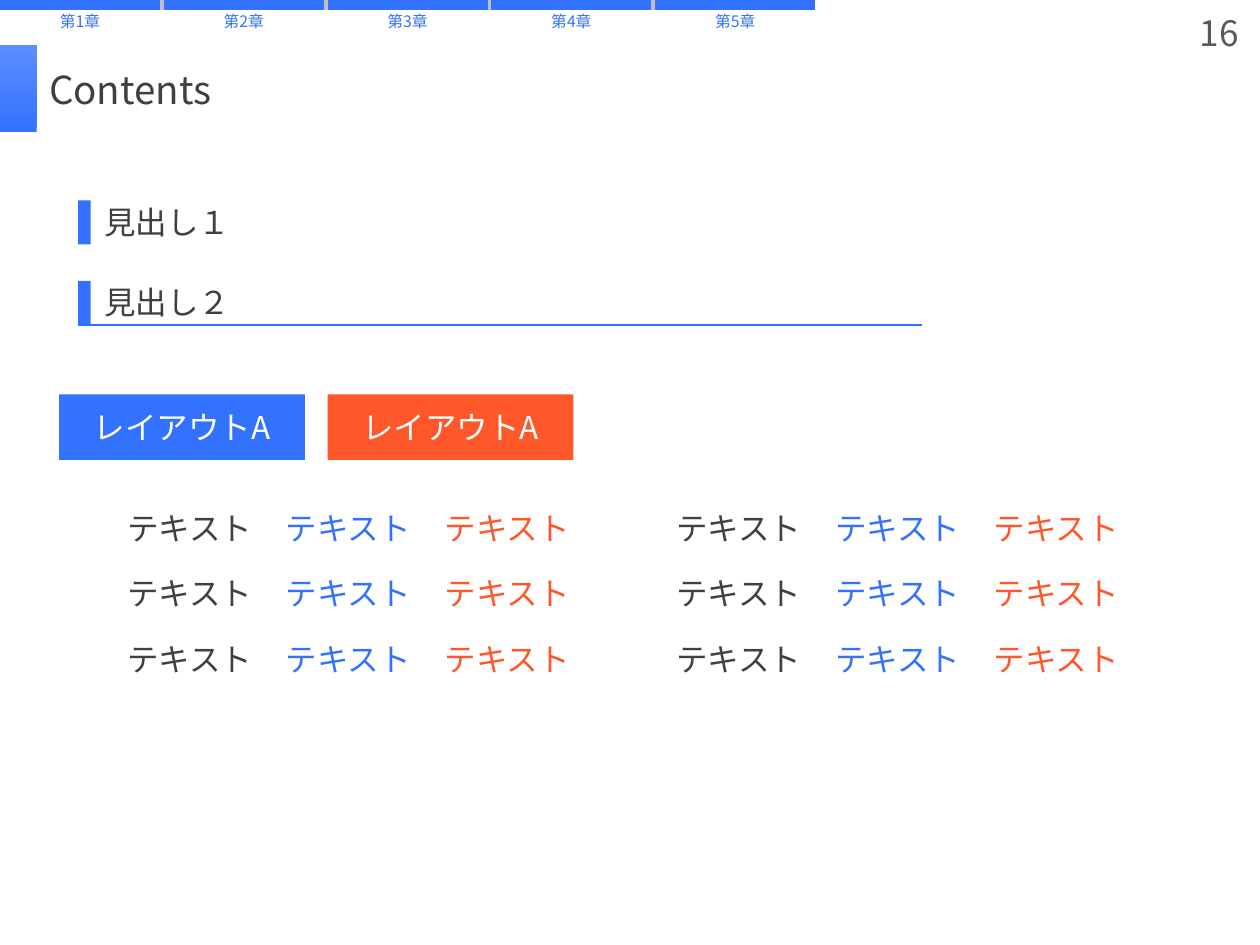
import pptx
import pptx.dml.color
import pptx.enum.shapes
import pptx.enum.text
import pptx.oxml.ns
import pptx.util
from lxml import etree
from pptx.util import Inches

RGBColor = pptx.dml.color.RGBColor
Align = pptx.enum.text.PP_ALIGN
Anchor = pptx.enum.text.MSO_ANCHOR
AutoSize = pptx.enum.text.MSO_AUTO_SIZE
qn = pptx.oxml.ns.qn

BLUE = RGBColor(0x33, 0x71, 0xFF)
LIGHT_BLUE = RGBColor(0x5B, 0x8E, 0xFF)
ORANGE = RGBColor(0xFF, 0x57, 0x29)
DARK = RGBColor(0x40, 0x40, 0x40)
GRAY = RGBColor(0x59, 0x59, 0x59)
TRACK = RGBColor(0xBF, 0xBF, 0xBF)
WHITE = RGBColor(0xFF, 0xFF, 0xFF)
FONT = "Noto Sans CJK JP"


def write(shape, text, size=18, color=DARK, align=Align.LEFT,
          anchor=Anchor.TOP, wrap=True, fit=AutoSize.NONE):
    frame = shape.text_frame
    frame.word_wrap = wrap
    frame.auto_size = fit
    frame.vertical_anchor = anchor
    para = frame.paragraphs[0]
    para.alignment = align
    span = para.add_run()
    span.text = text
    span.font.size = pptx.util.Pt(size)
    span.font.name = FONT
    span.font.color.rgb = color
    east_asian = etree.SubElement(span.font._element, qn("a:ea"))
    east_asian.set("typeface", FONT)


def add_text(page, left, top, width, height, text, **style):
    box = page.shapes.add_textbox(
        Inches(left), Inches(top), Inches(width), Inches(height))
    write(box, text, **style)


def add_label(page, left, top, text, color=DARK):
    add_text(page, left, top, 1.21, 0.4, text, color=color, wrap=False,
             fit=AutoSize.SHAPE_TO_FIT_TEXT)


def add_bar(page, left, top, width, height, color=BLUE):
    bar = page.shapes.add_shape(
        pptx.enum.shapes.MSO_SHAPE.RECTANGLE,
        Inches(left), Inches(top), Inches(width), Inches(height))
    bar.shadow.inherit = False
    bar.fill.solid()
    bar.fill.fore_color.rgb = color
    bar.line.fill.background()
    return bar


def add_rule(page, left, top, width, color, weight):
    rule = page.shapes.add_connector(
        pptx.enum.shapes.MSO_CONNECTOR.STRAIGHT,
        Inches(left), Inches(top), Inches(left + width), Inches(top))
    rule.line.color.rgb = color
    rule.line.width = pptx.util.Pt(weight)
    etree.SubElement(rule._element.spPr, qn("a:effectLst"))


def add_chapters(page, left, top, count=5, pitch=1.3, width=1.27):
    """Chapter track: a grey line under blue segments, each with its label."""
    add_rule(page, left, top, pitch * (count - 1) + width, TRACK, 6)
    for index in range(count):
        start = left + index * pitch
        add_rule(page, start, top, width, BLUE, 6)
        add_text(page, start, top, width, 0.25, f"第{index + 1}章", size=9,
                 color=BLUE, align=Align.CENTER,
                 fit=AutoSize.SHAPE_TO_FIT_TEXT)


def add_title(page, left, top, width, height, text):
    accent = add_bar(page, 0, top, left, height)
    accent.fill.gradient()
    accent.fill.gradient_angle = 90
    for stop, color in zip(accent.fill.gradient_stops, (BLUE, LIGHT_BLUE)):
        stop.color.rgb = color
    stops = accent.fill.gradient_stops
    stops[0].position, stops[1].position = 0, 1
    title = page.shapes.title
    title.left, title.top = Inches(left), Inches(top)
    title.width, title.height = Inches(width), Inches(height)
    write(title, text, size=22, anchor=Anchor.MIDDLE)


def add_heading(page, left, top, text, underline=0):
    if underline:
        add_rule(page, left, top + 0.35, underline, BLUE, 1)
    add_bar(page, left, top, 0.1, 0.35)
    add_label(page, left + 0.11, top - 0.03, text)


def add_buttons(page, left, top, pitch=2.13):
    for index, color in enumerate((BLUE, ORANGE)):
        button = add_bar(page, left + index * pitch, top, 1.95, 0.52, color)
        write(button, "レイアウトA", color=WHITE, align=Align.CENTER,
              anchor=Anchor.MIDDLE)


def add_text_grid(page, left, top, rows=3, column_pitch=1.26, row_pitch=0.52):
    for column, color in enumerate((DARK, BLUE, ORANGE)):
        for row in range(rows):
            add_label(page, left + column * column_pitch,
                      top + row * row_pitch, "テキスト", color)


def main():
    deck = pptx.Presentation()
    deck.slide_width, deck.slide_height = Inches(10), Inches(7.5)
    page = deck.slides.add_slide(deck.slide_layouts.get_by_name("Title Only"))
    add_title(page, 0.29, 0.36, 8.82, 0.69, "Contents")
    add_chapters(page, 0, 0.04)
    add_text(page, 7.6, 0.06, 2.33, 0.4, "16", size=20, color=GRAY,
             align=Align.RIGHT, anchor=Anchor.MIDDLE)
    add_heading(page, 0.62, 1.59, "見出し１")
    add_heading(page, 0.62, 2.23, "見出し２", underline=6.7)
    add_buttons(page, 0.47, 3.13)
    for left in (0.91, 5.27):
        add_text_grid(page, left, 3.99)
    deck.save("out.pptx")


if __name__ == "__main__":
    main()
